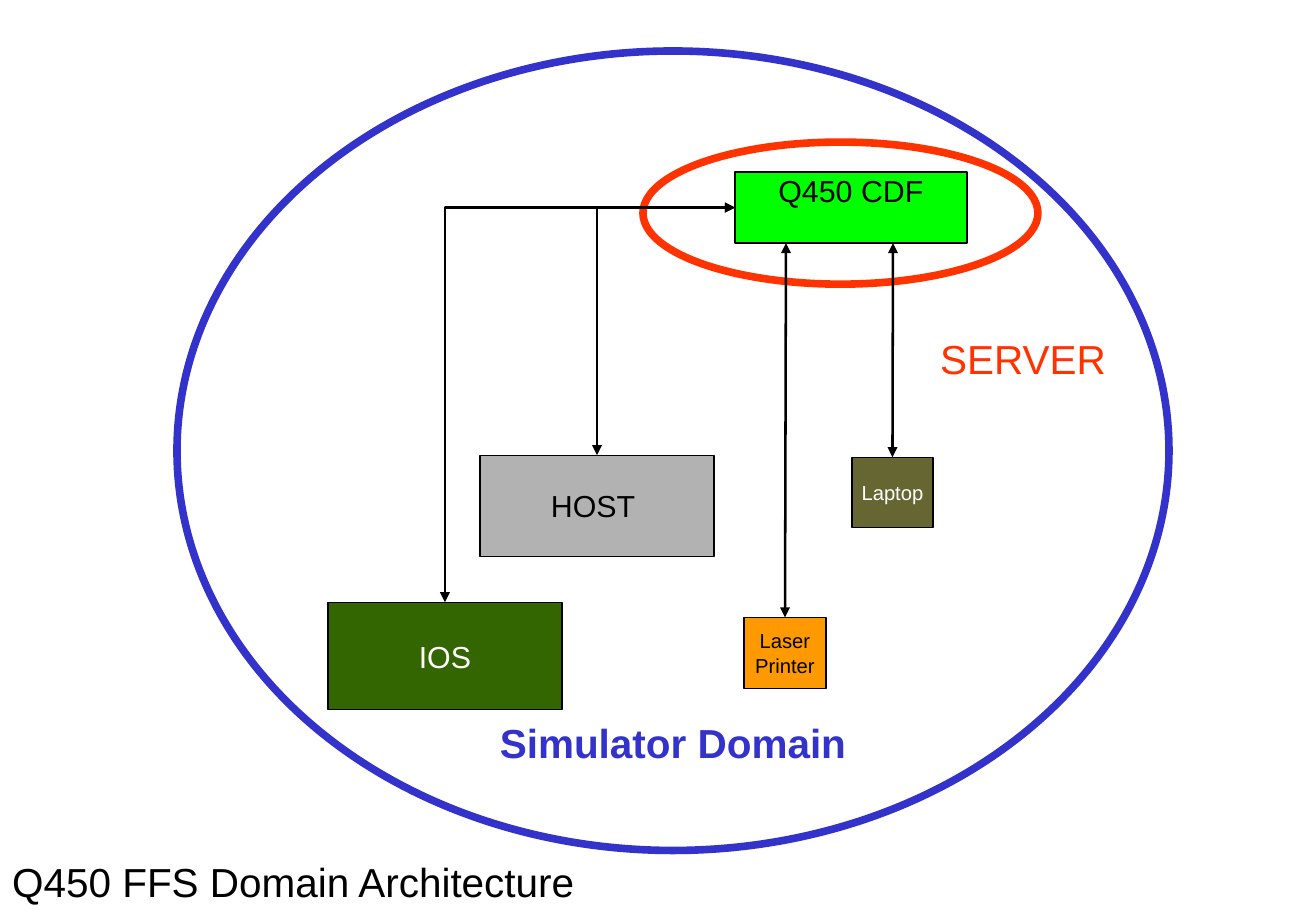
"""Build the simulator domain architecture slide."""
import pptx
import pptx.dml.color
import pptx.enum.shapes
import pptx.enum.text
import pptx.oxml
import pptx.oxml.ns
import pptx.util

RGBColor = pptx.dml.color.RGBColor
Shapes = pptx.enum.shapes.MSO_SHAPE
Connectors = pptx.enum.shapes.MSO_CONNECTOR
Anchor = pptx.enum.text.MSO_ANCHOR
Align = pptx.enum.text.PP_ALIGN

BLACK = RGBColor(0x00, 0x00, 0x00)
WHITE = RGBColor(0xFF, 0xFF, 0xFF)
BLUE = RGBColor(0x33, 0x33, 0xCC)
RED = RGBColor(0xFF, 0x33, 0x00)
LIME = RGBColor(0x00, 0xFF, 0x00)
GREEN = RGBColor(0x33, 0x66, 0x00)
GRAY = RGBColor(0xB2, 0xB2, 0xB2)
OLIVE = RGBColor(0x66, 0x66, 0x33)
ORANGE = RGBColor(0xFF, 0x99, 0x00)

FONT = "Arial"
PX_PER_INCH = 121.4
TOP, LEFT = 0, 1


def px(length):
    return pptx.util.Emu(round(length * 914400 / PX_PER_INCH))


def write(shape, lines, size, color, align=Align.CENTER, anchor=Anchor.MIDDLE, bold=False):
    frame = shape.text_frame
    frame.auto_size = pptx.enum.text.MSO_AUTO_SIZE.NONE
    frame.word_wrap = False
    frame.vertical_anchor = anchor
    for index, line in enumerate(lines):
        paragraph = frame.add_paragraph() if index else frame.paragraphs[0]
        paragraph.alignment = align
        run = paragraph.add_run()
        run.text = line
        run.font.name = FONT
        run.font.size = pptx.util.Pt(size)
        run.font.bold = bold
        run.font.color.rgb = color


def add_outline(slide, bounds, color):
    ellipse = slide.shapes.add_shape(Shapes.OVAL, *map(px, bounds))
    ellipse.shadow.inherit = False
    ellipse.fill.background()
    ellipse.line.color.rgb = color
    ellipse.line.width = pptx.util.Pt(4.5)


def add_box(slide, bounds, lines, fill, size=18, color=BLACK, anchor=Anchor.MIDDLE):
    box = slide.shapes.add_shape(Shapes.RECTANGLE, *map(px, bounds))
    box.shadow.inherit = False
    box.fill.solid()
    box.fill.fore_color.rgb = fill
    box.line.color.rgb = BLACK
    box.line.width = pptx.util.Pt(0.75)
    write(box, lines, size, color, anchor=anchor)
    return box


def add_label(slide, bounds, text, color, bold=False):
    label = slide.shapes.add_textbox(*map(px, bounds))
    write(label, [text], 24, color, bold=bold)


def add_arrow(slide, kind, start, end):
    arrow = slide.shapes.add_connector(kind, *map(px, start + end))
    arrow.line.color.rgb = BLACK
    arrow.line.width = pptx.util.Pt(1.5)
    line = arrow.line._get_or_add_ln()
    for tag in ("a:headEnd", "a:tailEnd"):
        tip = pptx.oxml.parse_xml(f'<{tag} {pptx.oxml.ns.nsdecls("a")} type="triangle"/>')
        line.append(tip)
    effects = pptx.oxml.parse_xml(f'<a:effectLst {pptx.oxml.ns.nsdecls("a")}/>')
    arrow._element.spPr.append(effects)
    return arrow


def add_corner_arrow(slide, source, start, target, end):
    arrow = add_arrow(slide, Connectors.ELBOW, start, end)
    geometry = arrow._element.spPr.find(pptx.oxml.ns.qn("a:prstGeom"))
    geometry.set("prst", "bentConnector2")
    arrow.begin_connect(source, LEFT)
    arrow.end_connect(target, TOP)


def add_drop_arrow(slide, start, target, end):
    arrow = add_arrow(slide, Connectors.STRAIGHT, start, end)
    arrow.end_connect(target, TOP)


def set_title(slide, bounds, text):
    title = slide.shapes.title
    title.left, title.top, title.width, title.height = map(px, bounds)
    write(title, [text], 24, BLACK, align=Align.LEFT)


def main():
    presentation = pptx.Presentation()
    presentation.slide_width = pptx.util.Inches(10.84)
    presentation.slide_height = pptx.util.Inches(7.5)
    slide = presentation.slides.add_slide(presentation.slide_layouts[5])
    set_title(slide, (0, 850, 1284, 61), "Q450 FFS Domain Architecture")

    add_outline(slide, (177, 51, 992, 799), BLUE)
    add_label(slide, (473, 712, 400, 60), "Simulator Domain", BLUE, bold=True)
    add_outline(slide, (643, 142, 395, 142), RED)
    add_label(slide, (923, 328, 200, 60), "SERVER", RED)

    ios = add_box(slide, (328, 602, 234, 107), ["IOS"], GREEN, color=WHITE)
    host = add_box(slide, (480, 455, 234, 101), ["HOST "], GRAY)
    laptop = add_box(slide, (852, 457, 81, 70), ["Laptop"], OLIVE, 12, WHITE)
    printer = add_box(slide, (744, 617, 82, 71), ["Laser", "Printer"], ORANGE, 12)
    cdf = add_box(slide, (735, 172, 232, 71), ["Q450 CDF"], LIME, anchor=Anchor.TOP)
    cdf.text_frame.margin_top = px(0)

    add_corner_arrow(slide, cdf, (735, 207), host, (597, 455))
    add_corner_arrow(slide, cdf, (735, 207), ios, (445, 602))
    add_drop_arrow(slide, (786, 243), printer, (785, 617))
    add_drop_arrow(slide, (893, 243), laptop, (893, 457))
    presentation.save("out.pptx")


if __name__ == "__main__":
    main()
